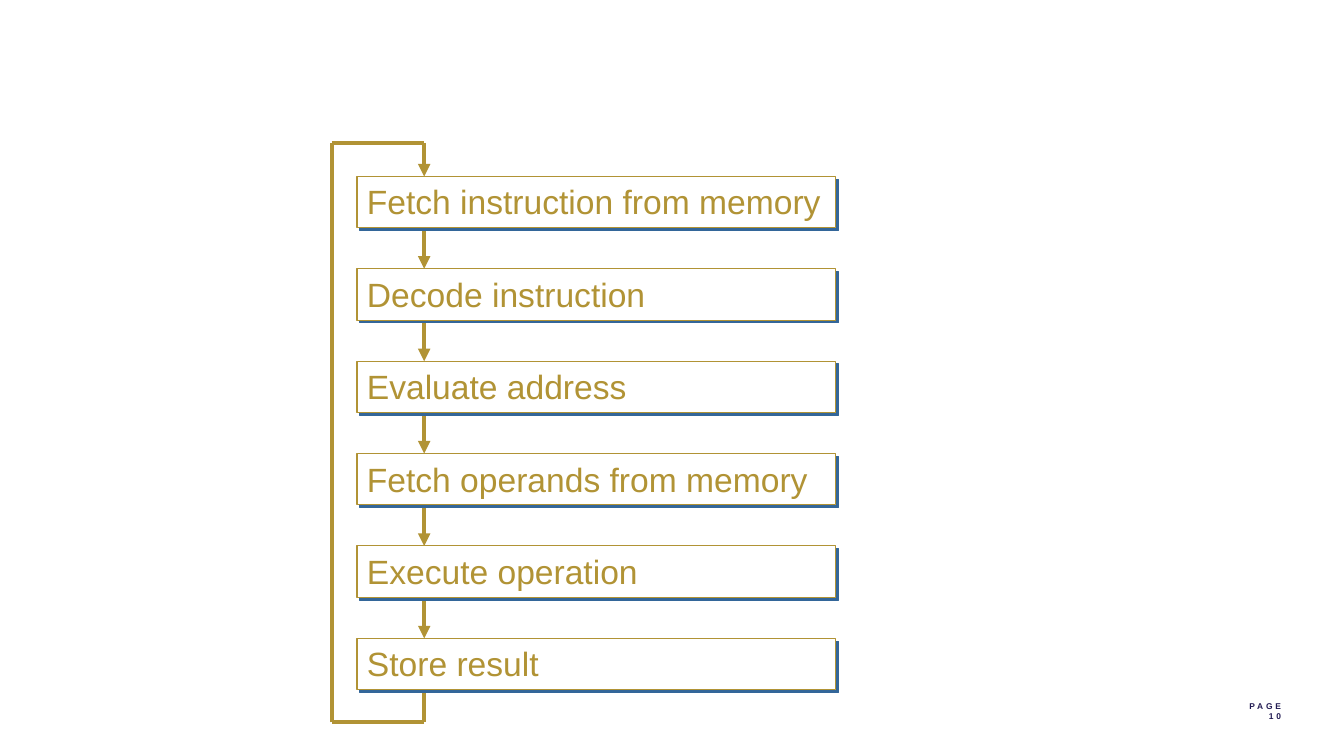
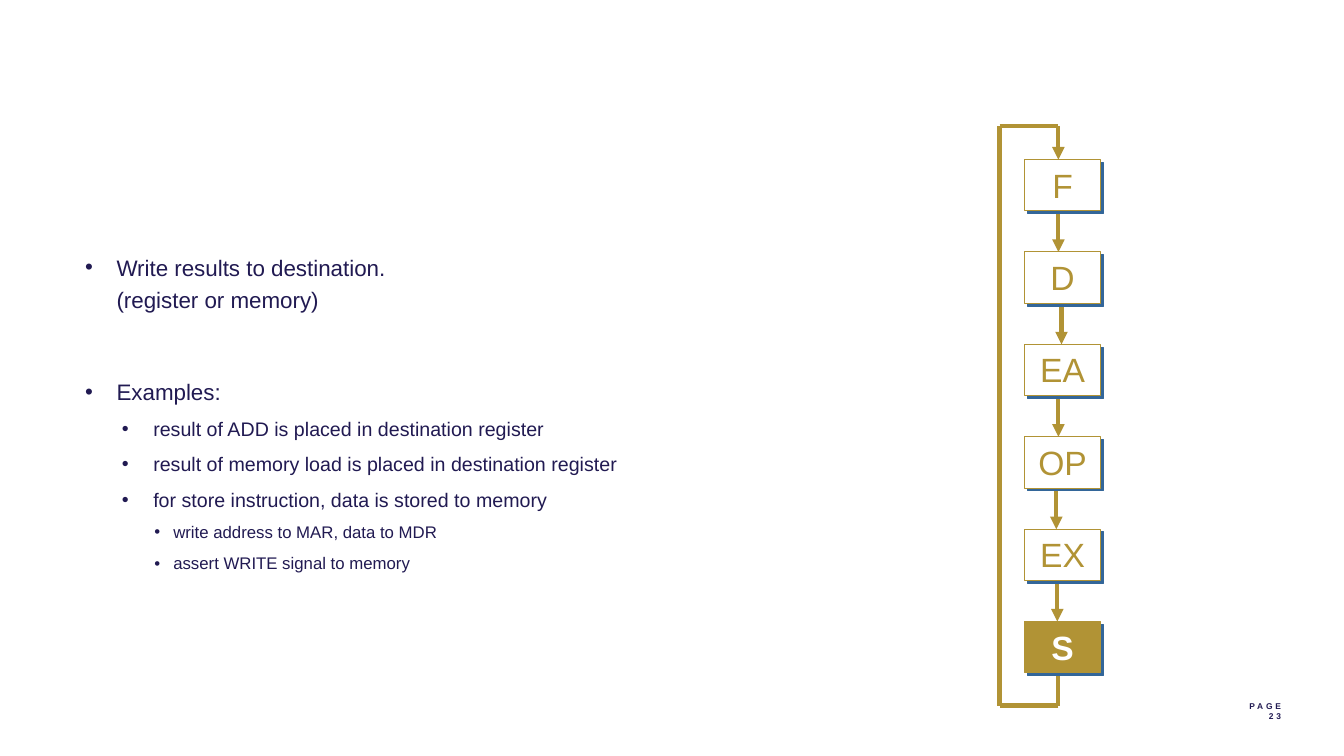
"""Build two slides on the instruction cycle: the full loop and its last step."""
from dataclasses import dataclass
from typing import Any

from lxml import etree
from pptx import Presentation
from pptx.dml.color import RGBColor
from pptx.enum.shapes import MSO_CONNECTOR, MSO_SHAPE
from pptx.enum.text import MSO_ANCHOR, MSO_AUTO_SIZE, PP_ALIGN
from pptx.oxml.ns import qn
from pptx.util import Pt

PX = 9525
GOLD = RGBColor(0xB1, 0x93, 0x35)
NAVY = RGBColor(0x21, 0x1A, 0x52)
BLUE = RGBColor(0x33, 0x66, 0x99)
WHITE = RGBColor(0xFF, 0xFF, 0xFF)

RECT = MSO_SHAPE.RECTANGLE
LINE = MSO_CONNECTOR.STRAIGHT
LEFT, MID, RIGHT = PP_ALIGN.LEFT, PP_ALIGN.CENTER, PP_ALIGN.RIGHT
TOP = MSO_ANCHOR.TOP
GROW = MSO_AUTO_SIZE.SHAPE_TO_FIT_TEXT

STEP, TALL, LEAD, DROP = 88, 49, 32, 520

FRAME = {"word_wrap": True, "vertical_anchor": TOP}
BARE = FRAME | {"margin_left": 0, "margin_right": 0}
TIGHT = BARE | {"margin_top": 0, "margin_bottom": 0}
LABEL = {"name": "Arial", "size": Pt(24), "bold": False}
PAGE = {"name": "Arial", "size": Pt(6), "bold": True}


@dataclass(frozen=True)
class Level:
    """Look of one bullet level."""
    size: int
    left: int
    hang: int
    gap: int


@dataclass(frozen=True)
class Item:
    """One bullet, with its own space before if given."""
    text: str
    level: int = 0
    gap: int | None = None


@dataclass(frozen=True)
class Cycle:
    """A column of steps joined by arrows, with a line back to the first."""
    steps: tuple[str, ...]
    left: int
    top: int
    width: int
    axis: int
    back: int
    align: Any
    shifts: tuple[int, ...] = (0, 0, 0, 0, 0)
    active: int | None = None


LEVELS = (Level(16, 30, 30, 10), Level(14, 65, 30, 5), Level(12, 84, 18, 5))

ITEMS = (
    Item("Write results to destination.\v(register or memory)", gap=0),
    Item("Examples:", gap=43),
    Item("result of ADD is placed in destination register", 1),
    Item("result of memory load is placed in destination register", 1),
    Item("for store instruction, data is stored to memory", 1),
    Item("write address to MAR, data to MDR", 2),
    Item("assert WRITE signal to memory", 2),
)

FULL = Cycle(
    ("Fetch instruction from memory", "Decode instruction",
     "Evaluate address", "Fetch operands from memory",
     "Execute operation", "Store result"),
    340, 168, 456, 404, 316, LEFT)

SHORT = Cycle(
    ("F", "D", "EA", "OP", "EX", "S"),
    976, 152, 72, 1008, 952, MID, (0, 3, 0, -2, -1), 5)


def apply(target: Any, values: dict[str, Any]) -> None:
    """Set each named attribute on the target."""
    for name, value in values.items():
        setattr(target, name, value)


def ink(para: Any, values: dict[str, Any], tint: RGBColor) -> None:
    """Give every run of a paragraph its font and colour."""
    for run in para.runs:
        apply(run.font, values)
        run.font.color.rgb = tint


def text_box(slide: Any, box: tuple[int, ...], values: dict[str, Any]) -> Any:
    """Add a text box and return its frame."""
    frame = slide.shapes.add_textbox(*(n * PX for n in box)).text_frame
    apply(frame, values)
    return frame


def footer(slide: Any, number: int) -> None:
    """Write the page number at the lower right."""
    frame = text_box(slide, (1071, 668, 149, 30), TIGHT)
    frame.text = f"PAGE\n{number}"
    for para in frame.paragraphs:
        para.alignment = RIGHT
        ink(para, PAGE, NAVY)
        for run in para.runs:
            run.font._element.set("spc", "200")


def link(slide: Any, start: tuple[int, int], end: tuple[int, int],
         head: bool = False) -> None:
    """Draw a gold line, with an arrowhead at its end if asked."""
    line = slide.shapes.add_connector(
        LINE, *(n * PX for n in (*start, *end)))
    line.line.color.rgb = GOLD
    line.line.width = Pt(3)
    props = line._element.spPr
    if head:
        etree.SubElement(props.find(qn("a:ln")), qn("a:tailEnd"),
                         type="triangle")
    etree.SubElement(props, qn("a:effectLst"))


def cast(shape: Any) -> None:
    """Give a shape a hard blue shadow to the lower right."""
    shape.shadow.inherit = False
    effects = shape._element.spPr.find(qn("a:effectLst"))
    shade = etree.SubElement(
        effects, qn("a:outerShdw"), dist="35921", dir="2700000",
        algn="ctr", rotWithShape="0")
    etree.SubElement(shade, qn("a:srgbClr"), val=str(BLUE))


def block(slide: Any, box: tuple[int, ...], text: str, align: Any,
          active: bool) -> None:
    """Draw one step, filled with gold when it is the active one."""
    shape = slide.shapes.add_shape(RECT, *(n * PX for n in box))
    shape.fill.solid()
    shape.fill.fore_color.rgb = GOLD if active else WHITE
    shape.line.color.rgb = GOLD
    shape.line.width = Pt(0.75)
    cast(shape)
    frame = shape.text_frame
    apply(frame, FRAME | {"text": text, "auto_size": GROW})
    para = frame.paragraphs[0]
    para.alignment = align
    ink(para, LABEL | {"bold": active}, WHITE if active else GOLD)


def draw(slide: Any, cycle: Cycle) -> None:
    """Draw the steps, the arrows between them and the line back."""
    axis, back, top = cycle.axis, cycle.back, cycle.top
    high, low = top - LEAD, top + DROP
    for row, shift in enumerate(cycle.shifts, 1):
        x, y = axis + shift, top + row * STEP
        link(slide, (x, y - 40), (x, y), True)
    route = ((axis, low - LEAD), (axis, low), (back, low),
             (back, high), (axis, high), (axis, top))
    for start, end in zip(route, route[1:]):
        link(slide, start, end, end == route[-1])
    for row, text in enumerate(cycle.steps):
        box = (cycle.left, top + row * STEP, cycle.width, TALL)
        block(slide, box, text, cycle.align, row == cycle.active)


def bullets(slide: Any, items: tuple[Item, ...]) -> None:
    """Write the bullet list at the left."""
    frame = text_box(slide, (81, 232, 661, 373), BARE)
    for row, item in enumerate(items):
        para = frame.add_paragraph() if row else frame.paragraphs[0]
        look = LEVELS[item.level]
        gap = look.gap if item.gap is None else item.gap
        apply(para, {"text": item.text, "level": item.level,
                     "line_spacing": 1.2, "space_before": Pt(gap)})
        props = para._p.get_or_add_pPr()
        props.set("marL", str(look.left * PX))
        props.set("indent", str(-look.hang * PX))
        etree.SubElement(props, qn("a:buFont"), typeface="Arial")
        etree.SubElement(props, qn("a:buChar"), char="•")
        ink(para, {"name": "Arial", "size": Pt(look.size)}, NAVY)


def main() -> None:
    """Build and save the slides."""
    deck = Presentation()
    apply(deck, {"slide_width": 1280 * PX, "slide_height": 720 * PX})
    blank = deck.slide_layouts[6]
    for number, cycle, items in ((10, FULL, ()), (23, SHORT, ITEMS)):
        slide = deck.slides.add_slide(blank)
        footer(slide, number)
        if items:
            bullets(slide, items)
        draw(slide, cycle)
    deck.save("out.pptx")


if __name__ == "__main__":
    main()
